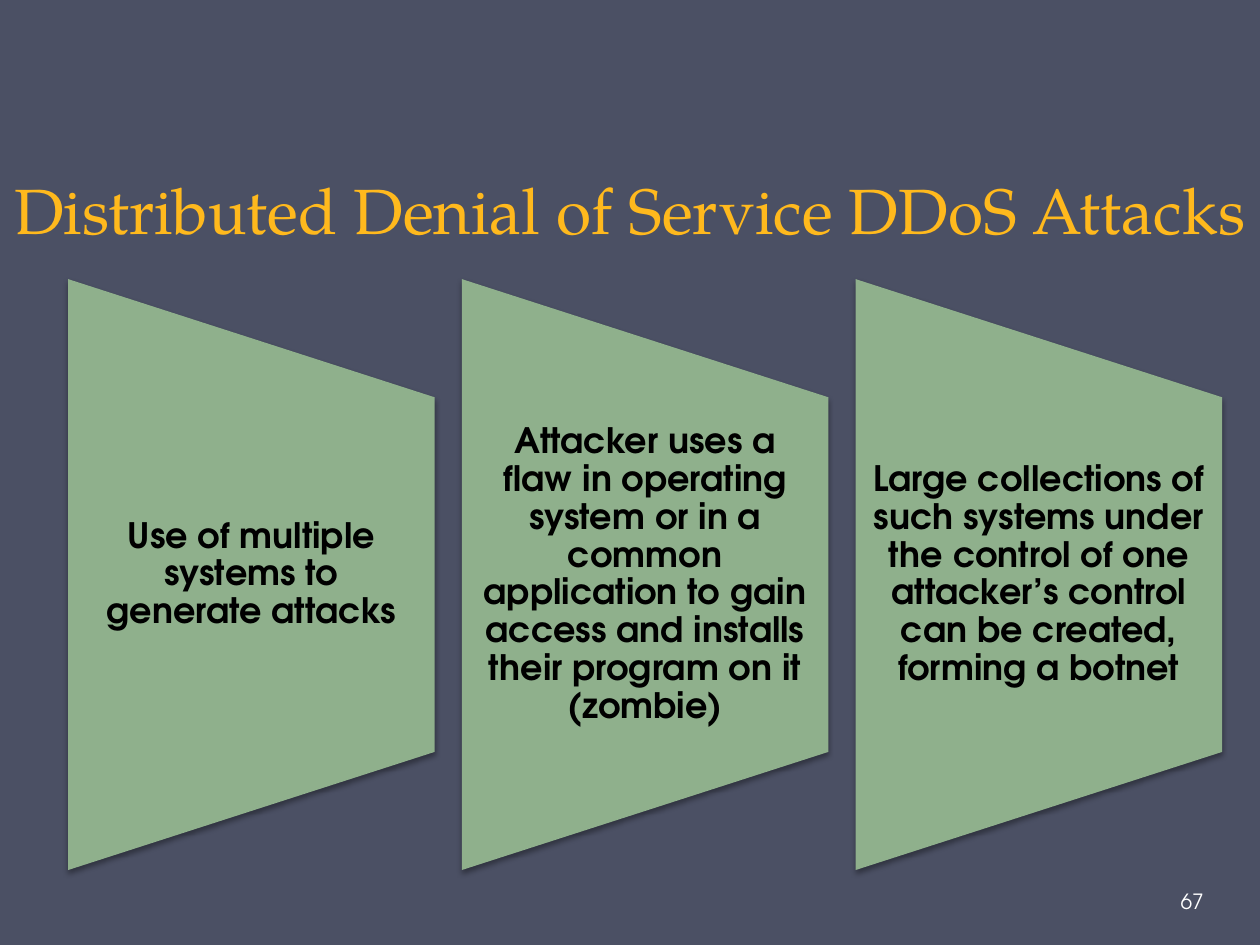
from lxml.etree import SubElement
from pptx import Presentation
from pptx.dml.color import RGBColor
from pptx.enum.shapes import MSO_SHAPE
from pptx.enum.text import MSO_ANCHOR, PP_ALIGN
from pptx.oxml.ns import qn
from pptx.util import Inches, Pt

TITLE = "Distributed Denial of Service DDoS Attacks"
STEPS = [
    "Use of multiple systems to generate attacks",
    "Attacker uses a flaw in operating system or in a common application "
    "to gain access and installs their program on it (zombie)",
    "Large collections of such systems under the control of one attacker’s "
    "control can be created, forming a botnet",
]
PAGE_NUMBER = "67"
COLORS = {"background": "4B5064", "title": "FFB91D", "panel": "8FB08C",
          "step": "000000", "number": "FFFFFF", "shadow": "000000"}
HEADING_FONT, BODY_FONT = "TeX Gyre Pagella", "TeX Gyre Adventor"

SLIDE_WIDTH, SLIDE_HEIGHT = 10, 7.5
PANEL_LEFT, PANEL_PITCH = 0.54, 3.125
PANEL_WIDTH, PANEL_HEIGHT = 2.91, 4.69
PANEL_MIDDLE = 4.56
STEP_HEIGHT = PANEL_HEIGHT * 0.6


def color(name):
    return RGBColor.from_string(COLORS[name])


def write(box, text, *, size, ink, font=BODY_FONT, bold=False, align=PP_ALIGN.LEFT,
          anchor=MSO_ANCHOR.MIDDLE, spacing=None, margins=(0.1, 0.05, 0.1, 0.05)):
    """Fill a shape with one formatted paragraph; margins run left, top, right, bottom."""
    frame = box.text_frame
    frame.word_wrap = True
    frame.vertical_anchor = anchor
    (frame.margin_left, frame.margin_top,
     frame.margin_right, frame.margin_bottom) = map(Inches, margins)
    para = frame.paragraphs[0]
    para.alignment = align
    if spacing is not None:
        para.line_spacing = spacing
    span = para.add_run()
    span.text = text
    span.font.name, span.font.size, span.font.bold = font, Pt(size), bold
    span.font.color.rgb = color(ink)


def add_text(page, text, left, top, width, height, **style):
    box = page.shapes.add_textbox(*map(Inches, (left, top, width, height)))
    write(box, text, **style)


def add_shadow(shape):
    effects = SubElement(shape._element.spPr, qn("a:effectLst"))
    shadow = SubElement(effects, qn("a:outerShdw"), blurRad=str(Pt(3.1)), dist=str(Pt(1.8)),
                        dir="5400000", rotWithShape="0")
    ink = SubElement(shadow, qn("a:srgbClr"), val=COLORS["shadow"])
    SubElement(ink, qn("a:alpha"), val="35000")


def add_panel(page, left):
    """Draw a trapezoid turned a quarter left, so its long side faces left."""
    center = left + PANEL_WIDTH / 2
    panel = page.shapes.add_shape(
        MSO_SHAPE.FLOWCHART_MANUAL_OPERATION,
        Inches(center - PANEL_HEIGHT / 2), Inches(PANEL_MIDDLE - PANEL_WIDTH / 2),
        Inches(PANEL_HEIGHT), Inches(PANEL_WIDTH))
    panel.rotation = 270
    panel.fill.solid()
    panel.fill.fore_color.rgb = color("panel")
    panel.line.fill.background()
    add_shadow(panel)


def main():
    deck = Presentation()
    deck.slide_width, deck.slide_height = Inches(SLIDE_WIDTH), Inches(SLIDE_HEIGHT)
    page = deck.slides.add_slide(deck.slide_layouts[5])
    page.background.fill.solid()
    page.background.fill.fore_color.rgb = color("background")

    title = page.shapes.title
    title.left, title.top = Inches(0), Inches(0.41)
    title.width, title.height = Inches(SLIDE_WIDTH), Inches(1.6)
    write(title, TITLE, size=36.6, ink="title", font=HEADING_FONT,
          align=PP_ALIGN.CENTER, anchor=MSO_ANCHOR.BOTTOM, spacing=Pt(58))

    for column, step in enumerate(STEPS):
        left = PANEL_LEFT + column * PANEL_PITCH
        add_panel(page, left)
        add_text(page, step, left, PANEL_MIDDLE - STEP_HEIGHT / 2, PANEL_WIDTH, STEP_HEIGHT,
                 size=20, ink="step", bold=True, align=PP_ALIGN.CENTER,
                 spacing=0.9, margins=(0.14, 0, 0.14, 0))

    add_text(page, PAGE_NUMBER, 9.34, 6.95, 0.61, 0.4, size=12, ink="number",
             margins=(0.03, 0.05, 0.05, 0.05))
    deck.save("out.pptx")


if __name__ == "__main__":
    main()
